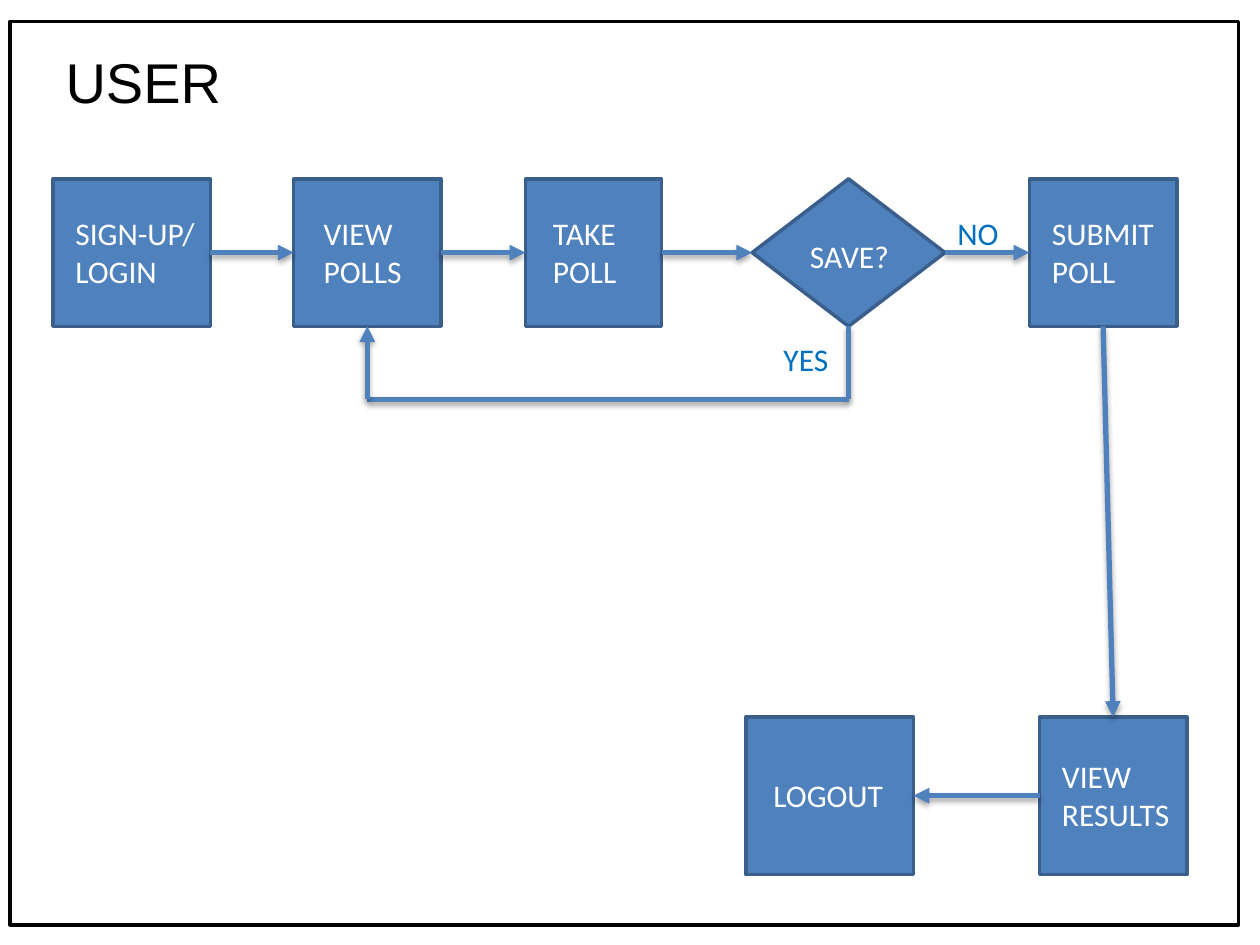
from lxml import etree
from pptx import Presentation
from pptx import util as u
from pptx.dml.color import RGBColor
from pptx.enum import shapes, text
from pptx.oxml.ns import qn

COLORS = {"fill": "4F81BD", "edge": "3A5F8C", "white": "FFFFFF", "label": "0070C0", "black": "000000"}
PROCESS = shapes.MSO_SHAPE.FLOWCHART_PROCESS
DECISION = shapes.MSO_SHAPE.FLOWCHART_DECISION
TOP, BOTTOM, LEFT, RIGHT = 0, 2, 1, 3

STEPS = {
    "login": (PROCESS, (0.42, 1.42, 1.25, 1.17), ["SIGN-UP/", "LOGIN"], (0.5, 1.65, 1.17, 0.71)),
    "polls": (PROCESS, (2.33, 1.42, 1.17, 1.17), ["VIEW POLLS"], (2.47, 1.65, 1, 0.71)),
    "take": (PROCESS, (4.17, 1.42, 1.08, 1.17), ["TAKE POLL"], (4.29, 1.65, 0.83, 0.71)),
    "save": (DECISION, (5.97, 1.42, 1.53, 1.17), ["SAVE?"], (6.33, 1.83, 0.92, 0.4)),
    "submit": (PROCESS, (8.17, 1.42, 1.17, 1.17), ["SUBMIT POLL"], (8.25, 1.65, 1.08, 0.71)),
    "results": (PROCESS, (8.25, 5.69, 1.17, 1.25), ["VIEW RESULTS"], (8.33, 5.96, 1.08, 0.71)),
    "logout": (PROCESS, (5.92, 5.69, 1.33, 1.25), ["LOGOUT"], (6.04, 6.11, 1.08, 0.4)),
}
FLOWS = [
    ("login", RIGHT, "polls", LEFT),
    ("polls", RIGHT, "take", LEFT),
    ("take", RIGHT, "save", LEFT),
    ("save", RIGHT, "submit", LEFT),
    ("submit", BOTTOM, "results", TOP),
    ("results", LEFT, "logout", RIGHT),
]
ANSWERS = [("NO", (7.5, 1.65, 0.58, 0.4)), ("YES", (6.12, 2.65, 0.67, 0.42))]
RETURN_Y = 3.17


def inches(values):
    return [u.Inches(v) for v in values]


def rgb(name):
    return RGBColor.from_string(COLORS[name])


def write(tf, lines, size, font, color):
    tf.word_wrap = True
    tf.vertical_anchor = text.MSO_ANCHOR.TOP
    for i, line in enumerate(lines):
        p = tf.paragraphs[0] if i == 0 else tf.add_paragraph()
        p.alignment = text.PP_ALIGN.LEFT
        r = p.add_run()
        r.text = line
        r.font.size = u.Pt(size)
        r.font.name = font
        r.font.color.rgb = rgb(color)


def add_label(s, box, lines, color):
    write(s.shapes.add_textbox(*inches(box)).text_frame, lines, 18, "Calibri", color)


def add_box(s, kind, box, fill, edge):
    sp = s.shapes.add_shape(kind, *inches(box))
    sp.shadow.inherit = False
    if fill:
        sp.fill.solid()
        sp.fill.fore_color.rgb = rgb(fill)
    else:
        sp.fill.background()
    sp.line.color.rgb = rgb(edge)
    sp.line.width = u.Pt(2)
    return sp


def add_line(s, start, end, arrow):
    c = s.shapes.add_connector(shapes.MSO_CONNECTOR.STRAIGHT, *start, *end)
    c.line.color.rgb = rgb("fill")
    c.line.width = u.Pt(3)
    if arrow:
        etree.SubElement(c.line._get_or_add_ln(), qn("a:tailEnd"), type="triangle")
    effects = etree.SubElement(c._element.spPr, qn("a:effectLst"))
    shadow = etree.SubElement(effects, qn("a:outerShdw"), blurRad="40000", dist="23000",
                              dir="5400000", rotWithShape="0")
    tint = etree.SubElement(shadow, qn("a:srgbClr"), val=COLORS["black"])
    etree.SubElement(tint, qn("a:alpha"), val="35000")
    return c


prs = Presentation()
prs.slide_width, prs.slide_height = inches((10, 7.5))
s = prs.slides.add_slide(prs.slide_layouts[5])

title = s.shapes.title
title.left, title.top, title.width, title.height = inches((0.42, 0.33, 7.17, 0.64))
write(title.text_frame, ["USER"], 32, "Arial", "black")

nodes = {}
for name, (kind, box, lines, label_box) in STEPS.items():
    nodes[name] = add_box(s, kind, box, "fill", "edge")
    add_label(s, label_box, lines, "white")

for source, out_side, target, in_side in FLOWS:
    c = add_line(s, (0, 0), (0, 0), True)
    c.begin_connect(nodes[source], out_side)
    c.end_connect(nodes[target], in_side)

save, polls = nodes["save"], nodes["polls"]
save_x, polls_x = (n.left + n.width // 2 for n in (save, polls))
return_y = u.Inches(RETURN_Y)
route = [(save_x, save.top + save.height), (save_x, return_y),
         (polls_x, return_y), (polls_x, polls.top + polls.height)]
for i, (start, end) in enumerate(zip(route, route[1:])):
    add_line(s, start, end, i == len(route) - 2)

for answer, box in ANSWERS:
    add_label(s, box, [answer], "label")

add_box(s, shapes.MSO_SHAPE.RECTANGLE, (0.08, 0.17, 9.75, 7.17), None, "black")

prs.save("out.pptx")
